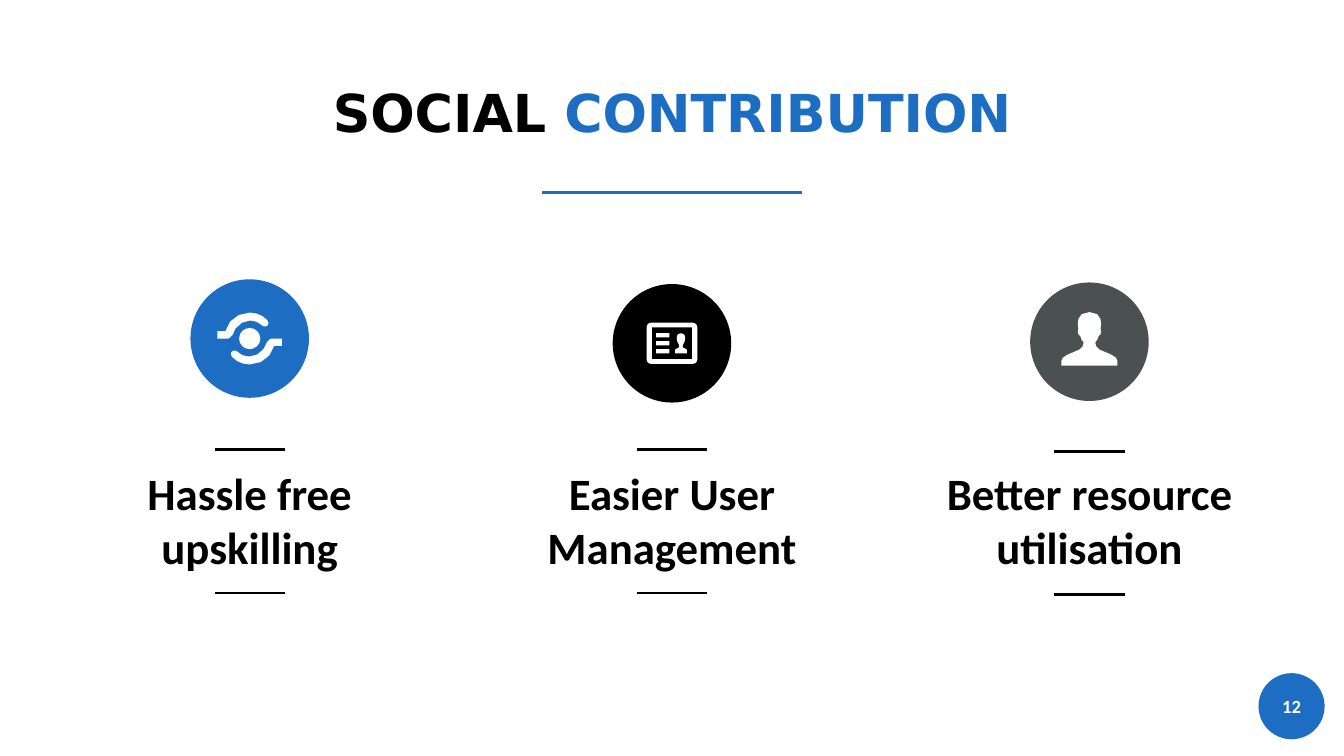
from math import cos, sin, tau

from lxml.etree import SubElement
from pptx import Presentation
from pptx.dml.color import RGBColor as Rgb
from pptx.enum.shapes import MSO_CONNECTOR as Link, MSO_SHAPE as Shape
from pptx.enum.text import MSO_ANCHOR as Anchor, MSO_AUTO_SIZE as Fit, PP_ALIGN as Align
from pptx.oxml.ns import qn
from pptx.util import Cm, Pt

COLORS = {"blue": "1D6DC2", "black": "000000", "gray": "4B5050", "white": "FFFFFF"}


def trace(start, *steps):
    """Points of an outline: a step of 2 numbers is a line, one of 6 a Bézier curve."""
    pts = [start]
    for step in steps:
        if len(step) == 2:
            pts.append(step)
            continue
        knots = [pts[-1], step[:2], step[2:4], step[4:]]
        for i in range(1, 4):
            t = i / 3
            parts = ((1 - t) ** 3, 3 * t * (1 - t) ** 2, 3 * t * t * (1 - t), t ** 3)
            pts.append(tuple(sum(w * k[axis] for w, k in zip(parts, knots))
                             for axis in (0, 1)))
    return pts


def mirror(half):
    return half + [(-x, y) for x, y in reversed(half) if x]


def box(left, top, right, bottom):
    return [(left, top), (right, top), (right, bottom), (left, bottom)]


# Icon outlines, in cm from the centre of the disc
def share():
    arm = trace((-.33, -.06), (-.3, -.2, -.15, -.34, 0, -.34),
                (.08, -.34, .17, -.31, .23, -.25), (.26, -.22, .31, -.22, .34, -.25),
                (.36, -.27, .36, -.32, .33, -.35), (.25, -.44, .13, -.49, 0, -.49),
                (-.23, -.49, -.41, -.34, -.46, -.14), (-.61, -.14), (-.61, 0),
                (-.41, 0), (-.36, 0, -.36, -.06, -.33, -.06))
    dot = [(.2 * cos(tau * i / 16), .2 * sin(tau * i / 16)) for i in range(16)]
    return [dot, arm, [(-x, -y) for x, y in arm]]


def card():
    side = trace((.39, -.39), (.44, -.39, .48, -.35, .48, -.3), (.48, .3),
                 (.48, .35, .44, .39, .39, .39))
    bust = mirror(trace((0, -.19), (.07, -.19, .08, -.14, .08, -.09),
                        (.08, -.01, .03, .01, .03, .06),
                        (.03, .1, .11, .1, .11, .12), (.11, .19)))
    bars = [box(-.3, y, -.05, y + .08) for y in (-.19, -.04, .11)]
    return [mirror(side), box(-.38, -.3, .38, .3), *bars,
            [(x + .17, y) for x, y in bust]]


def user():
    return [mirror(trace((0, -.56), (.2, -.56, .22, -.42, .22, -.34), (.21, -.25),
                         (.22, -.2), (.22, -.1, .18, -.14, .17, -.1),
                         (.15, 0, .11, -.02, .11, .02), (.11, .1, .16, .15, .31, .2),
                         (.44, .25, .53, .3, .53, .36), (.53, .45)))]


class Deck:
    font = "Calibri"
    head = "DejaVu Sans"

    def __init__(self, wide, high):
        self.prs = Presentation()
        self.prs.slide_width, self.prs.slide_height = Cm(wide), Cm(high)
        self.slide = self.prs.slides.add_slide(self.prs.slide_layouts[5])

    def style(self, run, size, color, font=None):
        run.font.name = font or self.font
        run.font.size, run.font.bold = Pt(size), True
        run.font.color.rgb = Rgb.from_string(COLORS[color])

    def paint(self, shape, color):
        shape.shadow.inherit = False
        shape.fill.solid()
        shape.fill.fore_color.rgb = Rgb.from_string(COLORS[color])
        shape.line.fill.background()

    def title(self, left, top, wide, high, parts):
        shape = self.slide.shapes.title
        shape.left, shape.top, shape.width, shape.height = map(Cm, (left, top, wide, high))
        frame = shape.text_frame
        frame.word_wrap, frame.auto_size = False, Fit.NONE
        frame.vertical_anchor = Anchor.TOP
        para = frame.paragraphs[0]
        para.alignment, para.line_spacing = Align.CENTER, 1.3
        for text, color in parts:
            run = para.add_run()
            run.text = text
            self.style(run, 28, color, self.head)

    def label(self, mid, top, wide, high, text):
        shape = self.slide.shapes.add_textbox(Cm(mid - wide / 2), Cm(top), Cm(wide), Cm(high))
        frame = shape.text_frame
        frame.word_wrap = True
        frame.text = text
        frame.paragraphs[0].alignment = Align.CENTER
        self.style(frame.paragraphs[0].runs[0], 24, "black")

    def rule(self, mid, y, wide, color):
        line = self.slide.shapes.add_connector(
            Link.STRAIGHT, Cm(mid - wide / 2), Cm(y), Cm(mid + wide / 2), Cm(y))
        line.line.color.rgb = Rgb.from_string(COLORS[color])
        line.line.width = Pt(1.5)
        SubElement(line._element.spPr, qn("a:effectLst"))

    def disc(self, shapes, x, y, size, color):
        shape = shapes.add_shape(Shape.OVAL, Cm(x - size / 2), Cm(y - size / 2),
                                 Cm(size), Cm(size))
        self.paint(shape, color)
        return shape

    def icon(self, x, y, color, paths):
        shapes = self.slide.shapes.add_group_shape().shapes
        self.disc(shapes, x, y, 2.24, color)
        loops = [[(px * 1000, py * 1000) for px, py in path] for path in paths]
        pen = shapes.build_freeform(*loops[0][0], scale=Cm(.001))
        pen.add_line_segments(loops[0][1:], close=True)
        for loop in loops[1:]:
            pen.move_to(*loop[0])
            pen.add_line_segments(loop[1:], close=True)
        self.paint(pen.convert_to_shape(Cm(x), Cm(y)), "white")

    def badge(self, x, y, size, text):
        frame = self.disc(self.slide.shapes, x, y, size, "blue").text_frame
        frame.text = text
        frame.word_wrap, frame.vertical_anchor = False, Anchor.MIDDLE
        frame.paragraphs[0].alignment = Align.CENTER
        self.style(frame.paragraphs[0].runs[0], 10, "white")


def main():
    deck = Deck(25.4, 14.29)

    # Heading
    deck.title(5.77, 1.04, 13.86, 1.8, [("SOCIAL ", "black"), ("CONTRIBUTION", "blue")])
    deck.rule(12.7, 3.64, 4.9, "blue")

    # Benefit columns: middle, icon height, rule height, text width
    columns = [
        (4.72, 6.4, 8.5, 6.15, "Hassle free upskilling", "blue", share),
        (12.7, 6.49, 8.5, 6.88, "Easier User Management", "black", card),
        (20.59, 6.46, 8.53, 8.1, "Better resource utilisation", "gray", user),
    ]
    for mid, y, line, wide, text, color, draw in columns:
        deck.icon(mid, y, color, draw())
        deck.label(mid, 8.68, wide, 2.29, text)
        for gap in (0, 2.71):
            deck.rule(mid, line + gap, 1.33, "black")

    # Page number
    deck.badge(24.41, 13.35, 1.25, "12")
    deck.prs.save("out.pptx")


if __name__ == "__main__":
    main()
